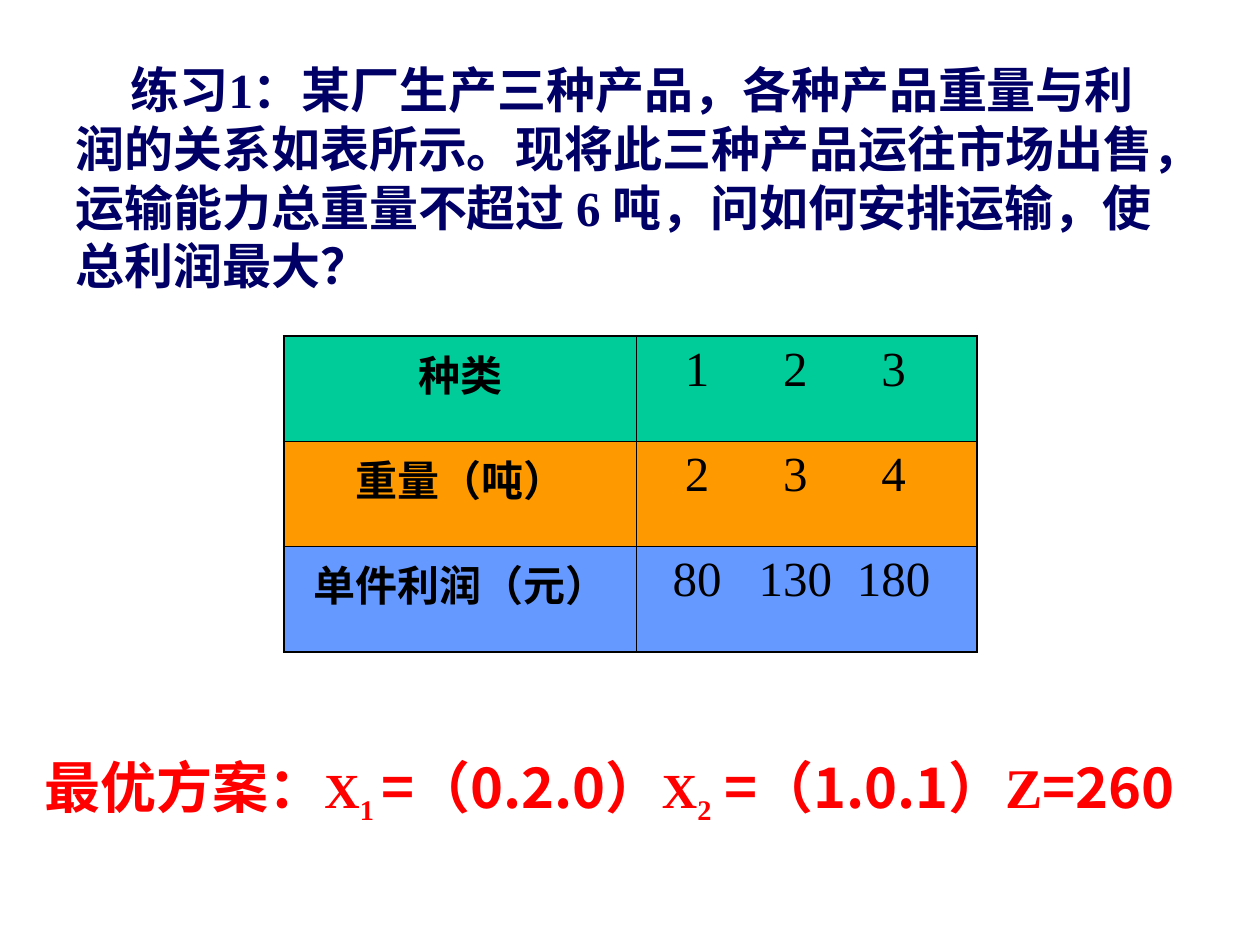
from lxml import etree
from pptx import Presentation
from pptx.dml.color import RGBColor
from pptx.enum.text import MSO_ANCHOR, MSO_AUTO_SIZE, PP_ALIGN
from pptx.oxml.ns import qn
from pptx.util import Cm, Pt

LEFT, CENTER = PP_ALIGN.LEFT, PP_ALIGN.CENTER
TOP = MSO_ANCHOR.TOP
NOFIT = MSO_AUTO_SIZE.NONE
SANS, SERIF = "Noto Sans CJK SC", "Times New Roman"
HUES = {"navy": "000066", "red": "FF0000", "black": "000000",
        "green": "00CC99", "gold": "FF9900", "blue": "6699FF"}
TASK = ("练习1：某厂生产三种产品，各种产品重量与利润的关系如表所示。"
        "现将此三种产品运往市场出售，运输能力总重量不超过 6 吨，"
        "问如何安排运输，使总利润最大？")
ROWS = [("种类", (1, 2, 3), "green"),
        ("重量（吨）", (2, 3, 4), "gold"),
        ("单件利润（元）", (80, 130, 180), "blue")]
PLAN = [("最优方案：", SANS, 32, 0), ("X", SERIF, 28, 0),
        ("1 ", SERIF, 28, -25), ("=（0.2.0）", SANS, 32, 0),
        ("X", SERIF, 28, 0), ("2", SERIF, 28, -25),
        (" =（1.0.1）", SANS, 32, 0), ("Z", SERIF, 32, 0),
        ("=260", SANS, 32, 0)]


def color(name):
    """Return the named colour."""
    return RGBColor.from_string(HUES[name])


def write(para, text, face=SERIF, size=28, hue="black", bold=True,
          align=LEFT, base=0):
    """Add a formatted run to a paragraph."""
    para.alignment = align
    run = para.add_run()
    run.text = text
    font = run.font
    font.name, font.size, font.bold = face, Pt(size), bold
    font.color.rgb = color(hue)
    props = run._r.get_or_add_rPr()
    etree.SubElement(props, qn("a:ea")).set("typeface", SANS)
    if base:
        props.set("baseline", str(base * 1000))


def frame(shape, box):
    """Place a text shape and return its first paragraph."""
    shape.left, shape.top, shape.width, shape.height = map(Cm, box)
    body = shape.text_frame
    body.word_wrap, body.auto_size = True, NOFIT
    body.vertical_anchor = TOP
    return body.paragraphs[0]


def set_tabs(para, first, step, count):
    """Give a paragraph evenly spaced centred tab stops."""
    stops = etree.SubElement(para._p.get_or_add_pPr(), qn("a:tabLst"))
    for i in range(count):
        stop = etree.SubElement(stops, qn("a:tab"))
        stop.set("pos", str(Cm(first + i * step)))
        stop.set("algn", "ctr")


def edge(cell, side, width):
    """Draw one solid border of a cell."""
    line = etree.SubElement(cell._tc.get_or_add_tcPr(), qn("a:ln" + side))
    line.set("w", str(Pt(width)))
    fill = etree.SubElement(line, qn("a:solidFill"))
    etree.SubElement(fill, qn("a:srgbClr")).set("val", HUES["black"])


def add_grid(slide):
    """Add the table of weights and profits."""
    grid = slide.shapes.add_table(len(ROWS), 2, Cm(5.72), Cm(6.78),
                                  Cm(13.97), Cm(6.36)).table
    grid.first_row = grid.horz_banding = False
    grid.columns[0].width, grid.columns[1].width = Cm(7.11), Cm(6.86)
    last = len(ROWS) - 1
    for r, (label, nums, hue) in enumerate(ROWS):
        grid.rows[r].height = Cm(2.12)
        for c in range(2):
            cell = grid.cell(r, c)
            outer = {"L": c == 0, "R": c == 1, "T": r == 0, "B": r == last}
            for side, thick in outer.items():
                edge(cell, side, 1.08 if thick else 0.45)
            cell.fill.solid()
            cell.fill.fore_color.rgb = color(hue)
        name, data = (grid.cell(r, c).text_frame.paragraphs[0]
                      for c in range(2))
        write(name, label, face=SANS, size=24, align=CENTER)
        set_tabs(data, 0.97, 1.98, len(nums))
        write(data, "".join(f"\t{n}" for n in nums), bold=False)


def main():
    """Build and save the slide."""
    deck = Presentation()
    deck.slide_width, deck.slide_height = Cm(25.4), Cm(19.05)
    slide = deck.slides.add_slide(deck.slide_layouts[5])
    task = frame(slide.shapes.title, (1.27, 1.07, 22.66, 5))
    task._p.get_or_add_pPr().set("indent", str(Cm(1.11)))
    write(task, TASK, hue="navy")
    add_grid(slide)
    box = (0.64, 15.04, 23.93, 3.1)
    plan = frame(slide.shapes.add_textbox(*map(Cm, box)), box)
    for text, face, size, base in PLAN:
        write(plan, text, face=face, size=size, hue="red", base=base)
    deck.save("out.pptx")


if __name__ == "__main__":
    main()
